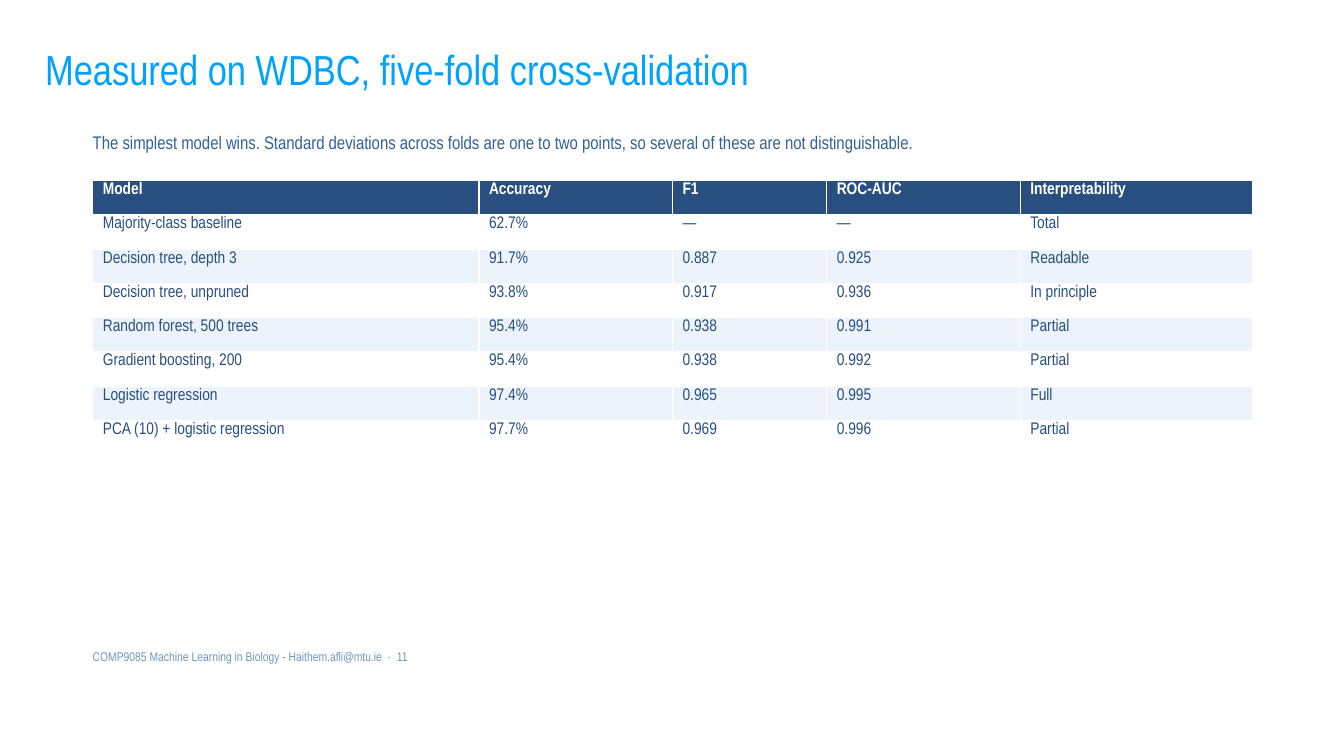
from dataclasses import dataclass
from pptx import Presentation
from pptx.dml.color import RGBColor as Rgb
from pptx.enum.text import MSO_ANCHOR as Anchor, MSO_AUTO_SIZE as Fit
from pptx.util import Inches, Pt

TITLE = "Measured on WDBC, five-fold cross-validation"
LEAD = ("The simplest model wins. Standard deviations across folds are one to two points, "
        "so several of these are not distinguishable.")
FOOT = "COMP9085 Machine Learning in Biology - Haithem.afli@mtu.ie  ·  11"
HEAD = ("Model", "Accuracy", "F1", "ROC-AUC", "Interpretability")
ROWS = [
    ("Majority-class baseline", "62.7%", "—", "—", "Total"),
    ("Decision tree, depth 3", "91.7%", "0.887", "0.925", "Readable"),
    ("Decision tree, unpruned", "93.8%", "0.917", "0.936", "In principle"),
    ("Random forest, 500 trees", "95.4%", "0.938", "0.991", "Partial"),
    ("Gradient boosting, 200", "95.4%", "0.938", "0.992", "Partial"),
    ("Logistic regression", "97.4%", "0.965", "0.995", "Full"),
    ("PCA (10) + logistic regression", "97.7%", "0.969", "0.996", "Partial"),
]


@dataclass(frozen=True)
class Theme:
    font: str = "Arial Narrow"
    sky: str = "00A2FF"
    blue: str = "326194"
    navy: str = "284F80"
    mist: str = "6C98C1"
    pale: str = "ECF3FA"
    white: str = "FFFFFF"
    title: int = 30
    lead: int = 13
    cell: int = 12
    foot: int = 9


LOOK = Theme()
LEFT, WIDTH = 0.92, 11.5
TOP, ROW = 1.79, 0.34
COLS = (3.83, 1.92, 1.53, 1.92, 2.3)
PAD_X, PAD_Y = 0.1, 0.02


def add_run(para, text, size, color, bold=False):
    run = para.add_run()
    run.text = text
    font = run.font
    font.name, font.size, font.bold = LOOK.font, Pt(size), bold
    font.color.rgb = Rgb.from_string(color)


def add_text(slide, box, text, size, color):
    frame = slide.shapes.add_textbox(*map(Inches, box)).text_frame
    frame.word_wrap = True
    add_run(frame.paragraphs[0], text, size, color)
    return frame


def add_note(slide, top, width, height, text, size, color):
    frame = add_text(slide, (LEFT, top, width, height), text, size, color)
    frame.margin_left = frame.margin_right = 0
    frame.margin_top = frame.margin_bottom = 0
    frame.auto_size = Fit.SHAPE_TO_FIT_TEXT


def add_grid(slide):
    rows = [HEAD, *ROWS]
    box = (LEFT, TOP, WIDTH, ROW * len(rows))
    table = slide.shapes.add_table(len(rows), len(HEAD), *map(Inches, box)).table
    table.horz_banding = False
    for col, width in zip(table.columns, COLS):
        col.width = Inches(width)
    for r, row in enumerate(rows):
        table.rows[r].height = Inches(ROW)
        top = r == 0
        fill = LOOK.navy if top else (LOOK.white if r % 2 else LOOK.pale)
        ink = LOOK.white if top else LOOK.navy
        for c, text in enumerate(row):
            cell = table.cell(r, c)
            cell.margin_left = cell.margin_right = Inches(PAD_X)
            cell.margin_top = cell.margin_bottom = Inches(PAD_Y)
            cell.fill.solid()
            cell.fill.fore_color.rgb = Rgb.from_string(fill)
            add_run(cell.text_frame.paragraphs[0], text, LOOK.cell, ink, top)


def main():
    deck = Presentation()
    deck.slide_width, deck.slide_height = Inches(13.33), Inches(7.5)
    slide = deck.slides.add_slide(deck.slide_layouts[6])
    title = add_text(slide, (0.35, 0.16, 9.2, 1.1), TITLE, LOOK.title, LOOK.sky)
    title.vertical_anchor = Anchor.MIDDLE
    title.paragraphs[0].line_spacing = 0.9
    add_note(slide, 1.3, WIDTH, 0.34, LEAD, LOOK.lead, LOOK.blue)
    add_note(slide, 6.44, 7.3, 0.26, FOOT, LOOK.foot, LOOK.mist)
    add_grid(slide)
    deck.save("out.pptx")


if __name__ == "__main__":
    main()
